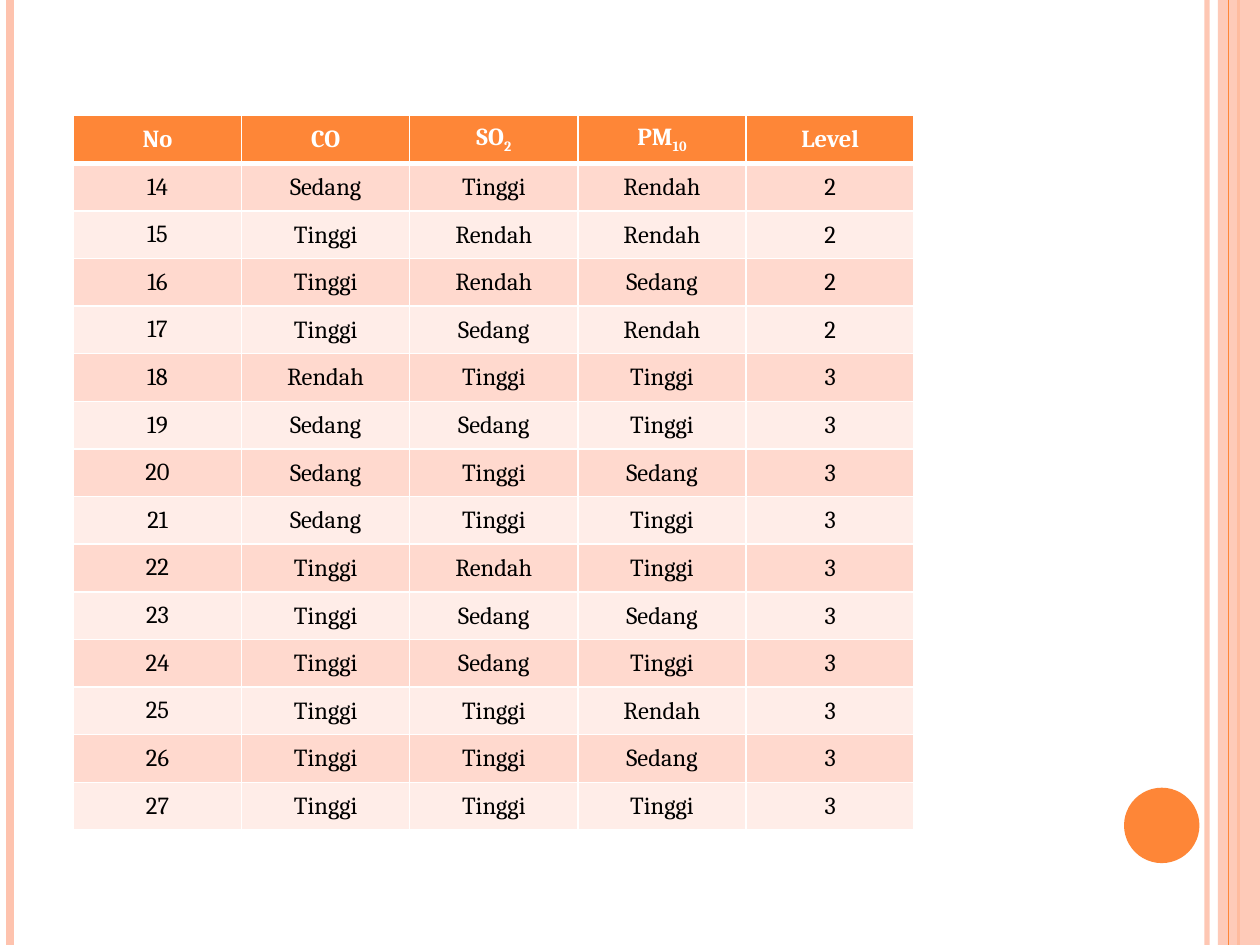
from dataclasses import dataclass
from itertools import product

from lxml.etree import SubElement
from pptx import Presentation
from pptx.dml.color import RGBColor as RGB
from pptx.enum.shapes import MSO_CONNECTOR as CONN, MSO_SHAPE as SHAPE
from pptx.enum.text import MSO_ANCHOR as ANCHOR, PP_ALIGN as ALIGN
from pptx.oxml.ns import qn
from pptx.util import Cm, Pt

HEADER = [("No", ""), ("CO", ""), ("SO", "2"), ("PM", "10"), ("Level", "")]
ROWS = [
    ("14", "Sedang", "Tinggi", "Rendah", "2"),
    ("15", "Tinggi", "Rendah", "Rendah", "2"),
    ("16", "Tinggi", "Rendah", "Sedang", "2"),
    ("17", "Tinggi", "Sedang", "Rendah", "2"),
    ("18", "Rendah", "Tinggi", "Tinggi", "3"),
    ("19", "Sedang", "Sedang", "Tinggi", "3"),
    ("20", "Sedang", "Tinggi", "Sedang", "3"),
    ("21", "Sedang", "Tinggi", "Tinggi", "3"),
    ("22", "Tinggi", "Rendah", "Tinggi", "3"),
    ("23", "Tinggi", "Sedang", "Sedang", "3"),
    ("24", "Tinggi", "Sedang", "Tinggi", "3"),
    ("25", "Tinggi", "Tinggi", "Rendah", "3"),
    ("26", "Tinggi", "Tinggi", "Sedang", "3"),
    ("27", "Tinggi", "Tinggi", "Tinggi", "3"),
]


@dataclass(frozen=True)
class Theme:
    font: str = "Cambria"
    size: float = 14
    orange: str = "FE8637"
    peach: str = "FEC3AE"
    bands: tuple = ("FFD9CE", "FFEDE8")
    white: str = "FFFFFF"
    black: str = "000000"


T = Theme()
WIDTH, HEIGHT = 25.4, 19.05
LEFT, TOP, COL_W, ROW_H = 1.48, 2.33, 3.39, 0.96
BACK_RULES = [(24.33, T.peach, 3, 93), (0.21, T.peach, 4.5, 100), (24.97, T.orange, 1.5, 100)]
FRONT_RULES = [(24.77, T.orange, 0.75, 100)]


def set_alpha(fill_xml, percent):
    if percent < 100:
        color = fill_xml.find(".//" + qn("a:srgbClr"))
        SubElement(color, qn("a:alpha"), val=str(percent * 1000))


def add_rules(s, rules):
    for x, color, width, alpha in rules:
        rule = s.shapes.add_connector(CONN.STRAIGHT, Cm(x), Cm(0), Cm(x), Cm(HEIGHT))
        rule.line.color.rgb = RGB.from_string(color)
        rule.line.width = Pt(width)
        props = rule._element.spPr
        set_alpha(props, alpha)
        SubElement(props, qn("a:effectLst"))


def add_block(s, kind, x, y, w, h, color, alpha=100):
    sp = s.shapes.add_shape(kind, Cm(x), Cm(y), Cm(w), Cm(h))
    sp.shadow.inherit = False
    sp.fill.solid()
    sp.fill.fore_color.rgb = RGB.from_string(color)
    sp.line.fill.background()
    set_alpha(sp._element.spPr, alpha)


def set_borders(cell, widths):
    props = cell._tc.get_or_add_tcPr()
    for i, (side, width) in enumerate(widths.items()):
        ln = props.makeelement(qn("a:" + side), {"w": str(Pt(width))})
        fill = SubElement(ln, qn("a:solidFill"))
        SubElement(fill, qn("a:srgbClr"), val=T.white)
        props.insert(i, ln)


def fill_cell(cell, text, sub, row, col):
    head = row == 0
    cell.fill.solid()
    cell.fill.fore_color.rgb = RGB.from_string(T.orange if head else T.bands[(row - 1) % 2])
    cell.vertical_anchor = ANCHOR.MIDDLE
    if not head and col > 0:
        cell.margin_left = cell.margin_right = cell.margin_top = Cm(0.02)
        cell.margin_bottom = Cm(0)
    set_borders(cell, {"lnL": 1, "lnR": 1, "lnT": 3 if row == 1 else 1, "lnB": 3 if head else 1})
    p = cell.text_frame.paragraphs[0]
    p.text = text
    p.alignment = ALIGN.CENTER
    if sub:
        r = p.add_run()
        r.text = sub
        r.font._element.set("baseline", "-25000")
    for r in p.runs:
        r.font.name = T.font
        r.font.size = Pt(T.size)
        r.font.bold = head
        r.font.color.rgb = RGB.from_string(T.white if head else T.black)


def add_levels_table(s):
    grid = [HEADER] + [[(text, "") for text in row] for row in ROWS]
    n_rows, n_cols = len(grid), len(HEADER)
    table = s.shapes.add_table(n_rows, n_cols, Cm(LEFT), Cm(TOP),
                               Cm(COL_W * n_cols), Cm(ROW_H * n_rows)).table
    for column in table.columns:
        column.width = Cm(COL_W)
    for row in table.rows:
        row.height = Cm(ROW_H)
    for i, j in product(range(n_rows), range(n_cols)):
        fill_cell(table.cell(i, j), *grid[i][j], i, j)


def main():
    prs = Presentation()
    prs.slide_width, prs.slide_height = Cm(WIDTH), Cm(HEIGHT)
    s = prs.slides.add_slide(prs.slide_layouts[6])
    add_rules(s, BACK_RULES)
    add_block(s, SHAPE.RECTANGLE, 24.55, 0, 0.85, HEIGHT, T.peach, 87)
    add_rules(s, FRONT_RULES)
    add_block(s, SHAPE.OVAL, 22.66, 15.88, 1.52, 1.52, T.orange)
    add_levels_table(s)
    prs.save("out.pptx")


if __name__ == "__main__":
    main()
